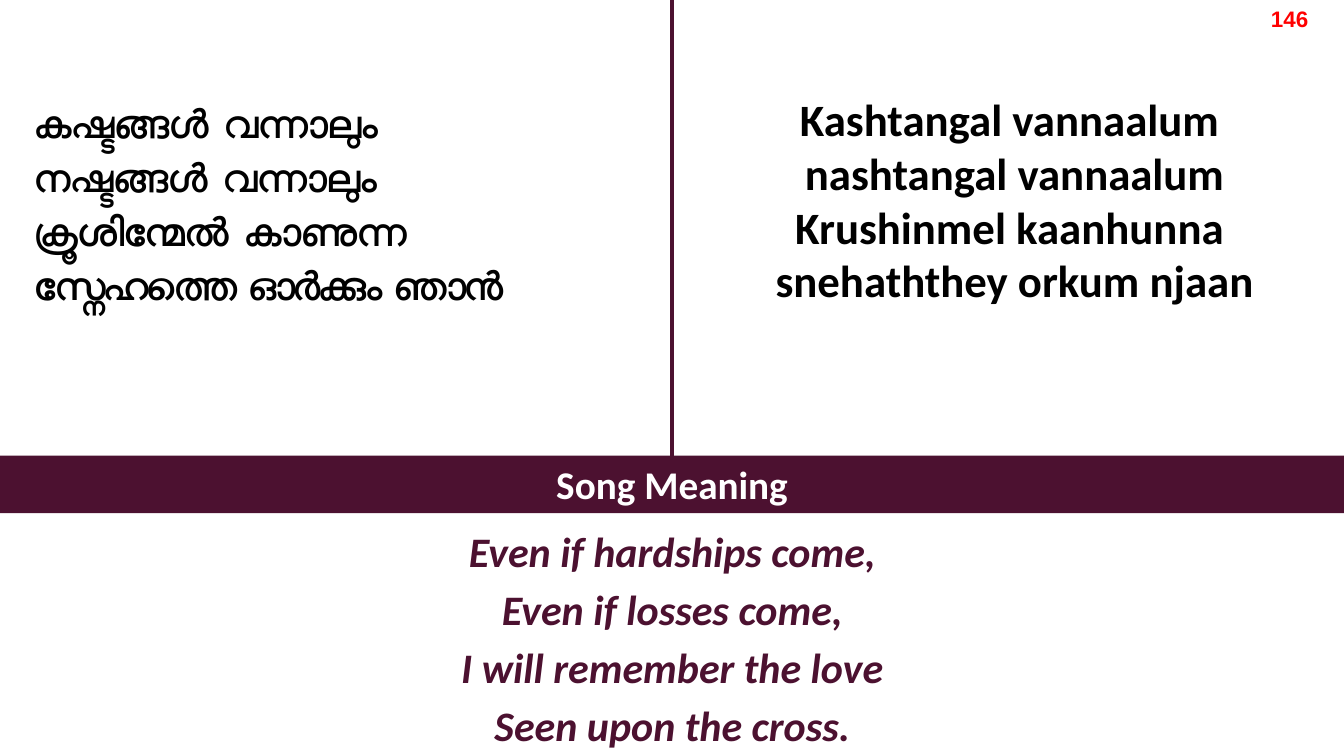
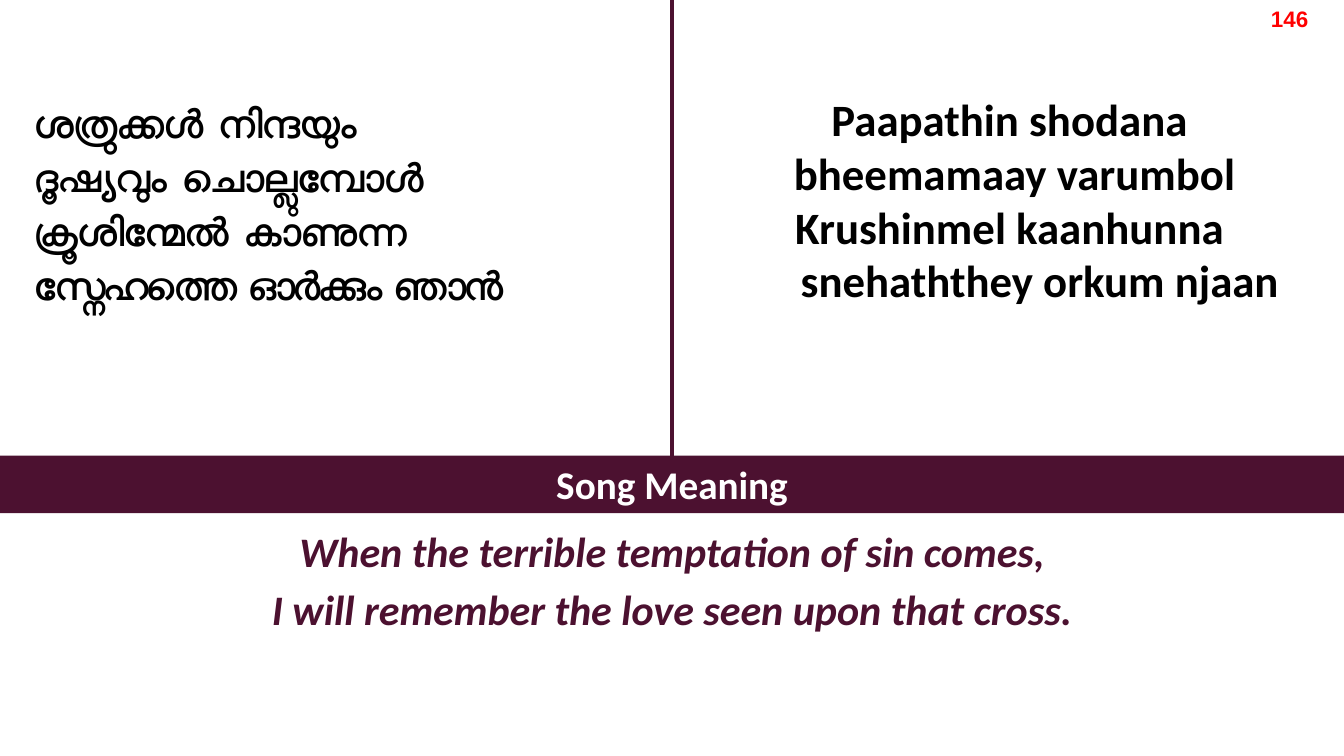
from dataclasses import dataclass

from lxml.etree import SubElement
from pptx import Presentation
from pptx.dml.color import RGBColor
from pptx.enum.shapes import MSO_CONNECTOR, MSO_SHAPE
from pptx.enum.text import MSO_ANCHOR, MSO_AUTO_SIZE, PP_ALIGN
from pptx.oxml.ns import qn
from pptx.util import Inches, Pt

PLUM = RGBColor(0x4C, 0x11, 0x30)
BLACK = RGBColor(0x00, 0x00, 0x00)
WHITE = RGBColor(0xFF, 0xFF, 0xFF)
RED = RGBColor(0xFF, 0x00, 0x00)

WIDTH, HEIGHT = 13.33, 7.5
BAND_TOP, BAND_HIGH = 4.52, 0.57
SONG = "146"


@dataclass
class Style:
    font: str
    size: int
    color: RGBColor
    italic: bool = False
    align: PP_ALIGN = PP_ALIGN.CENTER
    spacing: float = 1.0


@dataclass
class Verse:
    script: list[str]
    latin: list[str]
    meaning: list[str]
    indent: float = 0


SCRIPT = Style("Arial", 28, BLACK, align=PP_ALIGN.LEFT, spacing=1.15)
LATIN = Style("Calibri", 32, BLACK)
MEANING = Style("Calibri", 30, PLUM, italic=True, spacing=1.15)
BAND = Style("Calibri", 28, WHITE)
NUMBER = Style("Arial", 16, RED)

REFRAIN = ["ക്രൂശിന്മേൽ കാണുന്ന", "സ്നേഹത്തെ ഓർക്കും ഞാൻ"]
REFRAIN_LATIN = ["Krushinmel kaanhunna ", "snehaththey orkum njaan"]

VERSES = [
    Verse(
        ["കഷ്ടങ്ങൾ വന്നാലും", "നഷ്ടങ്ങൾ വന്നാലും"],
        ["Kashtangal vannaalum ", "nashtangal vannaalum"],
        [
            "Even if hardships come,",
            "Even if losses come,",
            "I will remember the love",
            "Seen upon the cross.",
        ],
    ),
    Verse(
        ["ശത്രുക്കൾ നിന്ദയും", "ദൂഷ്യവും ചൊല്ലുമ്പോൾ"],
        ["Paapathin shodana ", "bheemamaay varumbol"],
        [
            "When the terrible temptation of sin comes,",
            "I will remember the love seen upon that cross.",
        ],
        indent=0.5,
    ),
]


def place(shape, left: float, top: float, width: float, height: float) -> None:
    shape.left, shape.top = Inches(left), Inches(top)
    shape.width, shape.height = Inches(width), Inches(height)


def write(shape, text: str, style: Style, anchor=MSO_ANCHOR.TOP) -> None:
    """Fill a shape with text; newlines part paragraphs, vertical tabs part lines."""
    frame = shape.text_frame
    frame.text = text
    frame.word_wrap = True
    frame.auto_size = MSO_AUTO_SIZE.NONE
    frame.vertical_anchor = anchor
    for para in frame.paragraphs:
        para.alignment = style.align
        para.line_spacing = style.spacing
        para.space_before = Pt(0)
        for run in para.runs:
            font = run.font
            font.name, font.size = style.font, Pt(style.size)
            font.bold, font.italic = True, style.italic
            font.color.rgb = style.color


def add_text(slide, box: tuple, text: str, style: Style):
    shape = slide.shapes.add_textbox(*map(Inches, box))
    write(shape, text, style)
    return shape


def add_frame(slide) -> None:
    """Draw the band, the divider and the song number."""
    band = slide.shapes.add_shape(
        MSO_SHAPE.RECTANGLE, 0, Inches(BAND_TOP), Inches(WIDTH), Inches(BAND_HIGH)
    )
    band.shadow.inherit = False
    band.fill.solid()
    band.fill.fore_color.rgb = PLUM
    band.line.fill.background()
    write(band, "Song Meaning", BAND, MSO_ANCHOR.MIDDLE)

    middle = Inches(WIDTH / 2)
    line = slide.shapes.add_connector(
        MSO_CONNECTOR.STRAIGHT, middle, 0, middle, Inches(BAND_TOP)
    )
    line.line.color.rgb = PLUM
    line.line.width = Pt(3)
    SubElement(line._element.spPr, qn("a:effectLst"))

    add_text(slide, (12.25, 0, 1.08, 0.37), SONG, NUMBER)


def add_verse(deck, verse: Verse) -> None:
    slide = deck.slides.add_slide(deck.slide_layouts[0])
    title, body = slide.placeholders

    place(title, 0.24, 0.14, 6.42, 3.7)
    write(title, "\v".join(verse.script + REFRAIN), SCRIPT, MSO_ANCHOR.MIDDLE)
    last = title.text_frame.paragraphs[0].runs[-1]
    last.font._element.set("spc", "-150")

    latin = add_text(
        slide, (6.8, 0.85, 6.53, 2.28), "\n".join(verse.latin + REFRAIN_LATIN), LATIN
    )
    frame = latin.text_frame
    frame.margin_left = frame.margin_right = Inches(0.12)
    frame.margin_top = frame.margin_bottom = Inches(0.06)
    if verse.indent:
        props = frame.paragraphs[-1]._p.get_or_add_pPr()
        props.set("marL", str(Inches(verse.indent)))

    top = BAND_TOP + BAND_HIGH
    place(body, 0.92, top, 11.5, HEIGHT - top)
    write(body, "\n".join(verse.meaning), MEANING)
    add_frame(slide)


def main() -> None:
    deck = Presentation()
    deck.slide_width, deck.slide_height = Inches(WIDTH), Inches(HEIGHT)
    for verse in VERSES:
        add_verse(deck, verse)
    deck.save("out.pptx")


if __name__ == "__main__":
    main()
